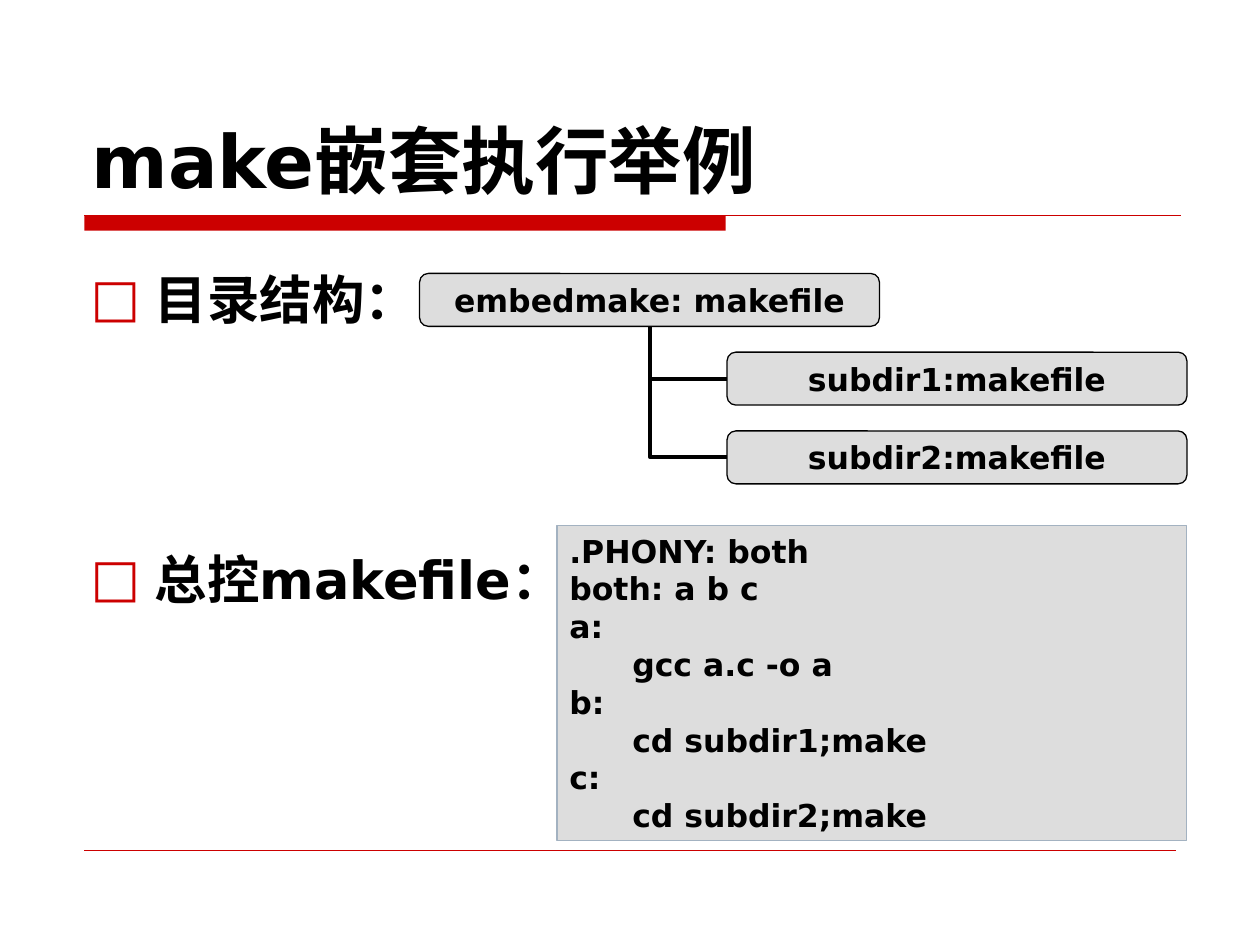
from dataclasses import dataclass

from lxml import etree
from pptx import Presentation
from pptx import util as u
from pptx.dml.color import RGBColor
from pptx.enum import shapes, text
from pptx.oxml import ns

FONT = "DejaVu Sans"
RED, BLACK, GREY, BLUE_GREY = "CC0000", "000000", "DDDDDD", "A3B2C1"
BOX_WIDTH, BOX_HEIGHT = 3.65, 0.42
TRUNK_X, TRUNK_TOP = 5.16, 2.58


@dataclass
class Directory:
    label: str
    left: float
    top: float


@dataclass
class Topic:
    label: str
    space_before: float


ROOT = Directory("embedmake: makefile", 3.33, 2.17)
SUBDIRS = [Directory(f"subdir{n}:makefile", 5.77, 2.17 + 0.625 * n) for n in (1, 2)]
TOPICS = [Topic("目录结构：", 0), Topic("总控makefile：", 113)]
CODE = [
    ".PHONY: both",
    "both: a b c",
    "a:",
    "\tgcc a.c -o a",
    "b:",
    "\tcd subdir1;make",
    "c:",
    "\tcd subdir2;make",
]


def color(hex_value: str) -> RGBColor:
    return RGBColor.from_string(hex_value)


def write(paragraph, wording: str, size: float) -> None:
    run = paragraph.add_run()
    run.text = wording
    run.font.name = FONT
    run.font.size = u.Pt(size)
    run.font.bold = True
    run.font.color.rgb = color(BLACK)


def add_frame(slide, left: float, top: float, width: float, height: float):
    box = slide.shapes.add_textbox(*map(u.Inches, (left, top, width, height)))
    box.text_frame.word_wrap = True
    return box.text_frame


def add_panel(slide, kind, left: float, top: float, width: float, height: float,
              fill: str, border: str | None = None):
    panel = slide.shapes.add_shape(kind, *map(u.Inches, (left, top, width, height)))
    panel.shadow.inherit = False
    panel.fill.solid()
    panel.fill.fore_color.rgb = color(fill)
    if border:
        panel.line.color.rgb = color(border)
        panel.line.width = u.Pt(0.75)
    else:
        panel.line.fill.background()
    return panel


def add_line(slide, start: tuple[float, float], end: tuple[float, float],
             line_color: str, weight: float, kind=shapes.MSO_CONNECTOR.STRAIGHT):
    line = slide.shapes.add_connector(kind, *map(u.Inches, (*start, *end)))
    line.line.color.rgb = color(line_color)
    line.line.width = u.Pt(weight)
    etree.SubElement(line._element.spPr, ns.qn("a:effectLst"))
    return line


def add_branch(slide, subdir: Directory) -> None:
    branch = add_line(slide, (TRUNK_X, TRUNK_TOP),
                      (subdir.left, subdir.top + BOX_HEIGHT / 2),
                      BLACK, 2.25, shapes.MSO_CONNECTOR.ELBOW)
    properties = branch._element.spPr
    properties.find(ns.qn("a:xfrm")).set("rot", str(180 * 60000))
    properties.find(ns.qn("a:prstGeom")).set("prst", "bentConnector2")


def add_directory(slide, directory: Directory) -> None:
    box = add_panel(slide, shapes.MSO_SHAPE.ROUNDED_RECTANGLE, directory.left,
                    directory.top, BOX_WIDTH, BOX_HEIGHT, GREY, BLACK)
    frame = box.text_frame
    frame.word_wrap = False
    frame.vertical_anchor = text.MSO_ANCHOR.MIDDLE
    frame.margin_left = frame.margin_right = 0
    frame.margin_top = frame.margin_bottom = 0
    frame.paragraphs[0].alignment = text.PP_ALIGN.CENTER
    write(frame.paragraphs[0], directory.label, 18)


def add_bullet(paragraph) -> None:
    properties = paragraph._p.get_or_add_pPr()
    properties.set("marL", str(u.Inches(0.51)))
    properties.set("indent", str(-u.Inches(0.51)))
    bullet_color = etree.SubElement(properties, ns.qn("a:buClr"))
    etree.SubElement(bullet_color, ns.qn("a:srgbClr"), val=RED)
    etree.SubElement(properties, ns.qn("a:buFont"), typeface=FONT)
    etree.SubElement(properties, ns.qn("a:buChar"), char="□")


def add_topics(slide) -> None:
    frame = add_frame(slide, 0.62, 1.92, 4.29, 4.67)
    for index, topic in enumerate(TOPICS):
        paragraph = frame.add_paragraph() if index else frame.paragraphs[0]
        add_bullet(paragraph)
        paragraph.line_spacing = 1.3
        paragraph.space_before = u.Pt(topic.space_before)
        write(paragraph, topic.label, 30)


def add_code(slide) -> None:
    panel = add_panel(slide, shapes.MSO_SHAPE.RECTANGLE, 4.42, 4.17, 5, 2.5,
                      GREY, BLUE_GREY)
    frame = panel.text_frame
    frame.word_wrap = True
    frame.vertical_anchor = text.MSO_ANCHOR.TOP
    for index, code_line in enumerate(CODE):
        paragraph = frame.add_paragraph() if index else frame.paragraphs[0]
        paragraph.alignment = text.PP_ALIGN.LEFT
        write(paragraph, code_line, 18)


def main() -> None:
    deck = Presentation()
    deck.slide_width, deck.slide_height = u.Inches(10), u.Inches(7.5)
    slide = deck.slides.add_slide(deck.slide_layouts[6])

    add_panel(slide, shapes.MSO_SHAPE.RECTANGLE, 0.67, 1.71, 5.09, 0.12, RED)
    add_line(slide, (0.67, 1.71), (9.37, 1.71), RED, 0.75)
    add_line(slide, (0.67, 6.75), (9.33, 6.75), RED, 0.25)

    title = add_frame(slide, 0.63, 0.33, 8.75, 1.33)
    title.vertical_anchor = text.MSO_ANCHOR.BOTTOM
    write(title.paragraphs[0], "make嵌套执行举例", 42)

    add_topics(slide)
    for subdir in reversed(SUBDIRS):
        add_branch(slide, subdir)
    for directory in (ROOT, *SUBDIRS):
        add_directory(slide, directory)
    add_code(slide)
    deck.save("out.pptx")


if __name__ == "__main__":
    main()
